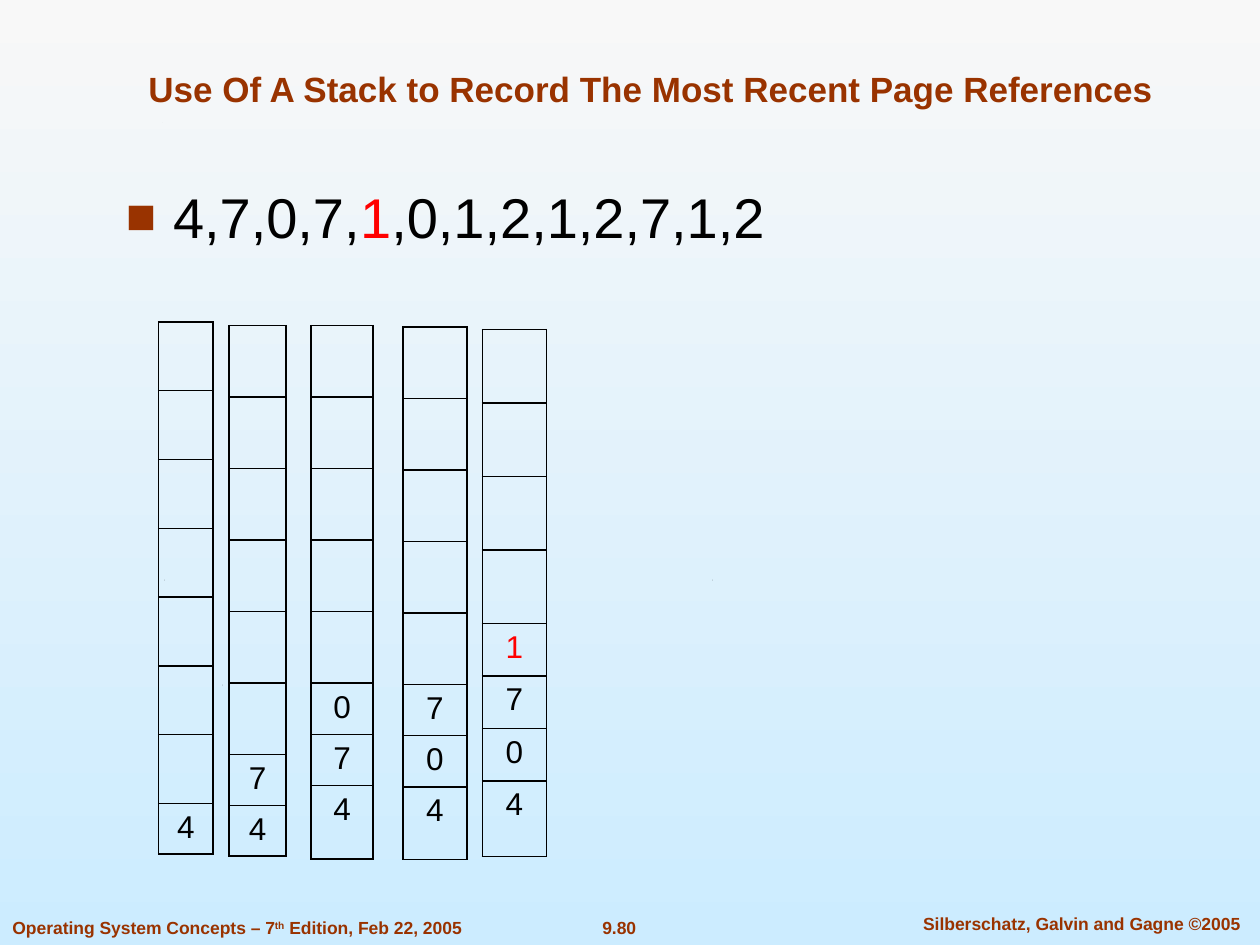
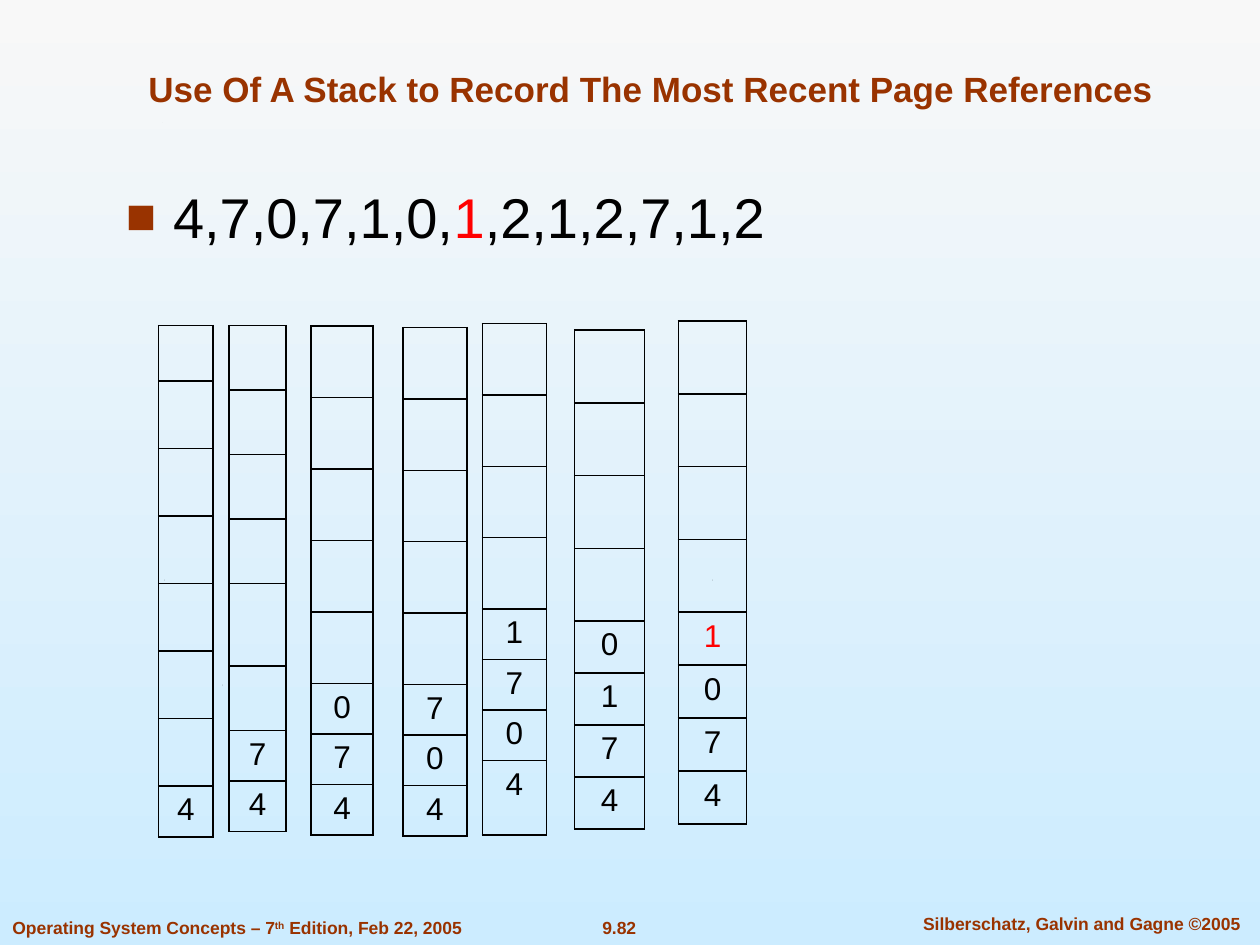
"""Build two slides that trace a page reference stack."""
import lxml.etree
import pptx
import pptx.dml.color
import pptx.enum.text
import pptx.oxml.ns
import pptx.util

Pt = pptx.util.Pt
RGB = pptx.dml.color.RGBColor
Align = pptx.enum.text.PP_ALIGN
RUST = RGB(0x99, 0x33, 0x00)
RED = RGB(0xFF, 0x00, 0x00)
BLACK = RGB(0x00, 0x00, 0x00)
PALE = RGB(0xF8, 0xF8, 0xF8)
SKY = RGB(0xCC, 0xEC, 0xFF)
FACE = "Arial"
ROWS = 8
TITLE = "Use Of A Stack to Record The Most Recent Page References"
REFS = "4,7,0,7,1,0,1,2,1,2,7,1,2"
PAGES = REFS.split(",")
SPECKS = [(126.7, 391), (93.6, 331.2), (406.8, 331.2), (92.9, 70)]
COLUMNS = [(90.7, 31), (131, 32.4), (177.8, 35.3), (230.2, 36.7),
           (275.6, 36.7), (328.4, 39.8), (387.7, 38.9)]
FIRST = [(184, 39.3, 28.9, {}), (186, 40.9, 28.9, {}),
         (186, 40.9, 29.2, {7: 42.2}), (186.8, 40.9, 29.2, {7: 41.5}),
         (188.4, 42, 30, {7: 43.2})]
SECOND = [(186, 38.6, 29.3, {0: 31.6}), (186, 36.9, 28.8, {4: 47.1}),
          (186.3, 40.9, 28.8, {}), (187.2, 40.8, 28.8, {}),
          (184.9, 40.8, 28.8, {7: 42.6}), (188.6, 41.6, 29.7, {}),
          (183.5, 41.6, 30.3, {})]


def add_node(parent, tag, **attrs):
    """Append one drawing element."""
    return lxml.etree.SubElement(parent, pptx.oxml.ns.qn(tag), attrs)


def get_stack(count):
    """List the pages by recency after count references."""
    return list(dict.fromkeys(reversed(PAGES[:count])))


class Deck:
    """Hold the style and the current slide."""

    def __init__(self):
        """Start an empty show."""
        self.show = pptx.Presentation()
        self.show.slide_width, self.show.slide_height = Pt(720), Pt(540)
        self.slide = None

    def style(self, para, size, color, bold=False, align=Align.CENTER):
        """Set the look of one paragraph."""
        para.alignment = align
        para.font.name, para.font.size = FACE, Pt(size)
        para.font.bold, para.font.color.rgb = bold, color

    def start(self, title, number):
        """Add a slide with its backdrop, title and footers."""
        self.slide = self.show.slides.add_slide(self.show.slide_layouts[5])
        fill = self.slide.background.fill
        fill.gradient()
        fill.gradient_angle = 270
        for stop, color in zip(fill.gradient_stops, (PALE, SKY)):
            stop.color.rgb = color
        self.head(title)
        for left, top in SPECKS:
            self.speck(left, top)
        self.foot(336.2, 520.6, 35.3, [number])
        self.foot(511.2, 518.4, 213.8, ["Silberschatz, Galvin and Gagne ©2005"])
        runs = self.foot(0, 520.6, 272.2, ["Operating System Concepts – 7", "th",
                                         " Edition, Feb 22, 2005"], Align.LEFT)
        runs[1].font._element.set("baseline", "30000")

    def head(self, text):
        """Place and fill the title."""
        box = self.slide.shapes.title
        box.left, box.top, box.width, box.height = Pt(54), Pt(18), Pt(635.8), Pt(48.2)
        frame = box.text_frame
        frame.text = text
        frame.auto_size = pptx.enum.text.MSO_AUTO_SIZE.NONE
        frame.vertical_anchor = pptx.enum.text.MSO_ANCHOR.BOTTOM
        self.style(frame.paragraphs[0], 20, RUST, True)

    def speck(self, left, top):
        """Draw a tiny dot."""
        pen = self.slide.shapes.build_freeform(left, top, Pt(1))
        pen.add_line_segments([(left + 0.5, top), (left, top + 0.5)])
        dot = pen.convert_to_shape()
        dot.shadow.inherit = False
        dot.fill.solid()
        dot.fill.fore_color.rgb = BLACK
        dot.line.fill.background()

    def text(self, left, top, width, height, parts):
        """Add a text box and return its paragraph."""
        box = self.slide.shapes.add_textbox(Pt(left), Pt(top), Pt(width), Pt(height))
        box.text_frame.word_wrap = True
        para = box.text_frame.paragraphs[0]
        for part in parts:
            para.add_run().text = part
        return para

    def foot(self, left, top, width, parts, align=Align.CENTER):
        """Add a footer and return its runs."""
        para = self.text(left, top, width, 19.4, parts)
        para.space_before = Pt(1)
        self.style(para, 10, RUST, True, align)
        return para.runs

    def refs(self, count):
        """Show the reference string with the current page in red."""
        mark = 2 * (count - 1)
        para = self.text(64.8, 100.8, 578.9, 52.6,
                         [REFS[:mark], REFS[mark], REFS[mark + 1:]])
        para.space_before = Pt(4)
        props = para._p.get_or_add_pPr()
        props.set("marL", str(Pt(27)))
        props.set("indent", str(Pt(-27)))
        add_node(add_node(props, "a:buClr"), "a:srgbClr", val=str(RUST))
        add_node(props, "a:buSzPct", val="90000")
        add_node(props, "a:buFont", typeface=FACE)
        add_node(props, "a:buChar", char="■")
        self.style(para, 32, BLACK, align=Align.LEFT)
        para.runs[1].font.color.rgb = RED

    def stack(self, place, top, sizes, pages, last):
        """Draw one stack as a table of a single column."""
        left, width = place
        table = self.slide.shapes.add_table(
            ROWS, 1, Pt(left), Pt(top), Pt(width), Pt(sum(sizes))).table
        table.first_row = table.horz_banding = False
        table.columns[0].width = Pt(width)
        blank = ROWS - len(pages)
        for index, size in enumerate(sizes):
            table.rows[index].height = Pt(size)
            cell = table.cell(index, 0)
            self.frame(cell)
            if index >= blank:
                cell.text = pages[index - blank]
                color = RED if last and index == blank else BLACK
                self.style(cell.text_frame.paragraphs[0], 18, color)

    def frame(self, cell):
        """Give a cell thin black borders and no fill."""
        props = cell._tc.get_or_add_tcPr()
        for side in "LRTB":
            line = add_node(props, "a:ln" + side, w=str(Pt(1)))
            add_node(add_node(line, "a:solidFill"), "a:srgbClr", val=str(BLACK))
        cell.fill.background()

    def trace(self, number, stacks):
        """Build a slide that shows the stack after each reference."""
        self.start(TITLE, number)
        self.refs(len(stacks))
        for step, (top, blank, full, odd) in enumerate(stacks, 1):
            pages = get_stack(step)
            sizes = [odd.get(row, blank if row < ROWS - len(pages) else full)
                     for row in range(ROWS)]
            self.stack(COLUMNS[step - 1], top, sizes, pages, step == len(stacks))


def main():
    """Build and save the show."""
    deck = Deck()
    deck.trace("9.80", FIRST)
    deck.trace("9.82", SECOND)
    deck.show.save("out.pptx")


if __name__ == "__main__":
    main()
